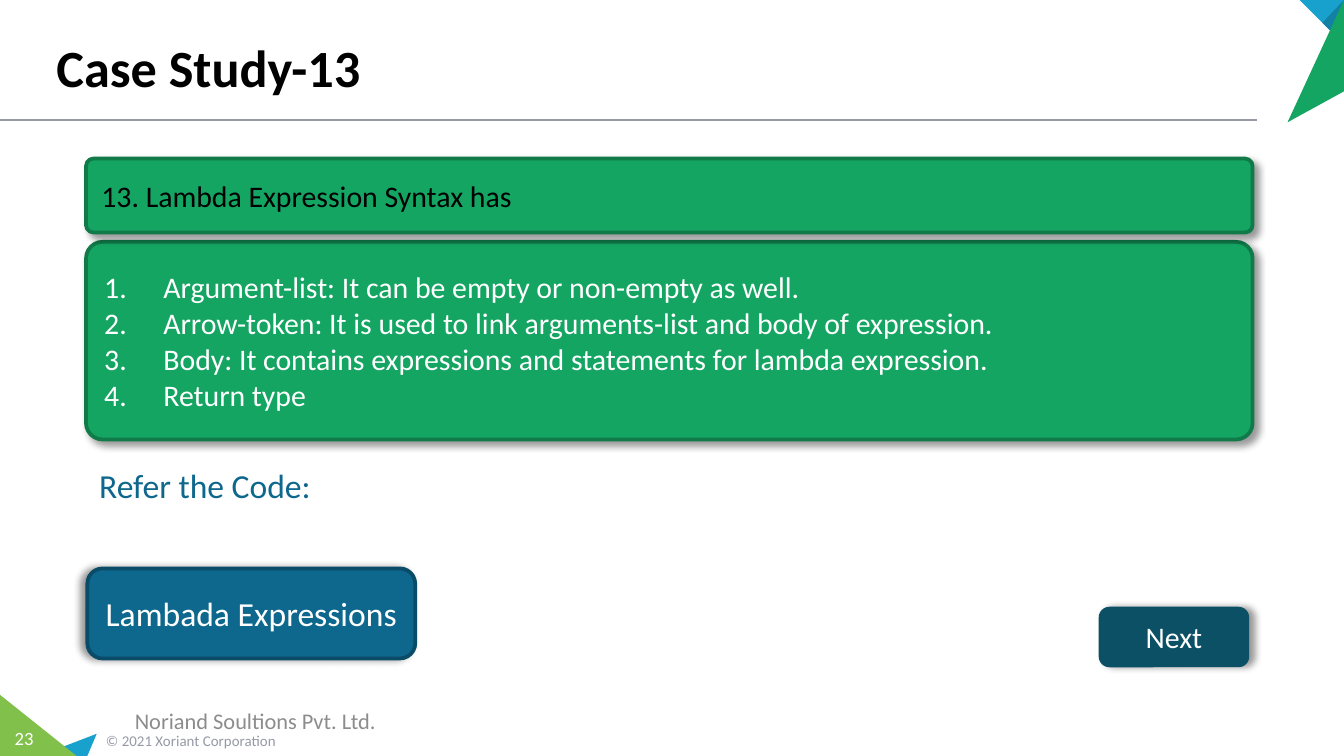
from dataclasses import dataclass

from lxml.etree import SubElement
from pptx import Presentation
from pptx.dml.color import RGBColor
from pptx.enum.shapes import MSO_CONNECTOR, MSO_SHAPE
from pptx.enum.text import MSO_ANCHOR as Anchor, MSO_AUTO_SIZE as AutoSize, PP_ALIGN as Align
from pptx.oxml import parse_xml
from pptx.oxml.ns import nsdecls, qn
from pptx.util import Inches, Pt


@dataclass(frozen=True)
class Theme:
    font: str = "Calibri"
    black: str = "000000"
    white: str = "FFFFFF"
    gray: str = "959AA5"
    footer: str = "8C8C8C"
    green: str = "15A563"
    dark_green: str = "107A49"
    lime: str = "81C14B"
    sky: str = "17A1CC"
    dark_sky: str = "1281A3"
    blue: str = "0E678C"
    dark_blue: str = "0A4C68"
    teal: str = "0C5066"
    title_size: float = 28
    lead_size: float = 18
    body_size: float = 16
    footer_size: float = 12
    number_size: float = 10
    copyright_size: float = 8


theme = Theme()


def write(shape, text, size, color, align=Align.LEFT, anchor=Anchor.MIDDLE, bold=False):
    frame = shape.text_frame
    frame.text = text
    frame.word_wrap = True
    frame.auto_size = AutoSize.NONE
    frame.vertical_anchor = anchor
    for paragraph in frame.paragraphs:
        paragraph.alignment = align
        paragraph.space_before = Pt(0)
        for run in paragraph.runs:
            run.font.name = theme.font
            run.font.size = Pt(size)
            run.font.bold = bold
            run.font.color.rgb = RGBColor.from_string(color)


def decorate(shape, fill, line, line_width, shadow_angle):
    shape.fill.solid()
    shape.fill.fore_color.rgb = RGBColor.from_string(fill)
    shape.line.color.rgb = RGBColor.from_string(line)
    shape.line.width = Pt(line_width)
    shape.shadow.inherit = False
    effects = shape.element.spPr.find(qn("a:effectLst"))
    shadow = SubElement(effects, qn("a:outerShdw"), blurRad=str(Pt(4)), dist=str(Pt(3)),
                        dir=str(shadow_angle * 60000), algn="tl", rotWithShape="0")
    color = SubElement(shadow, qn("a:srgbClr"), val=theme.black)
    SubElement(color, qn("a:alpha"), val="40000")


presentation = Presentation()
presentation.slide_width = Inches(10)
presentation.slide_height = Inches(5.625)
unit = presentation.slide_width / 100
right, bottom = 100, presentation.slide_height / unit
margin, panel_width = 6.4, 86.8

slide = presentation.slides.add_slide(presentation.slide_layouts[1])
shapes = slide.shapes
title, answers = slide.placeholders

rule = shapes.add_connector(MSO_CONNECTOR.STRAIGHT, 0, int(8.9 * unit), int(93.5 * unit), int(8.9 * unit))
rule.line.color.rgb = RGBColor.from_string(theme.gray)
rule.line.width = Pt(1)
SubElement(rule.element.spPr, qn("a:effectLst"))

corner_triangles = [
    (theme.sky, [(7.2, 54.6), (6.5, bottom), (2.9, bottom)]),
    (theme.lime, [(0, 51.7), (5.7, bottom), (0, bottom)]),
    (theme.sky, [(96.7, 0), (right, 0), (right, 3.3)]),
    (theme.dark_sky, [(98.4, 1.7), (right, 0), (right, 3.3)]),
    (theme.green, [(95.8, 9.1), (right, 0), (right, 6.8)]),
]
for color, points in corner_triangles:
    corners = [(x * unit, y * unit) for x, y in points]
    builder = shapes.build_freeform(*corners[0])
    builder.add_line_segments(corners[1:])
    triangle = builder.convert_to_shape()
    triangle.fill.solid()
    triangle.fill.fore_color.rgb = RGBColor.from_string(color)
    triangle.line.fill.background()
    triangle.shadow.inherit = False

title.left, title.top, title.width, title.height = (int(n * unit) for n in (3.2, 0.6, 90, 7.2))
write(title, "Case Study-13", theme.title_size, theme.black, anchor=Anchor.BOTTOM, bold=True)

labels = [
    ((6.9, 53.9, 23.3, 2.4), "© 2021 Xoriant Corporation", theme.copyright_size, theme.gray, Align.LEFT, Anchor.MIDDLE),
    ((0, 53.6, 3.6, 2.7), "23", theme.number_size, theme.white, Align.CENTER, Anchor.MIDDLE),
    ((0, 52.1, 38, 3), "Noriand Soultions Pvt. Ltd.", theme.footer_size, theme.footer, Align.CENTER, Anchor.MIDDLE),
    ((margin, 34.1, 50, 4), "Refer the Code:", theme.lead_size, theme.blue, Align.LEFT, Anchor.TOP),
]
for box, text, size, color, align, anchor in labels:
    label = shapes.add_textbox(*(int(n * unit) for n in box))
    write(label, text, size, color, align, anchor)
    if text == "23":
        label.text_frame.margin_left = label.text_frame.margin_right = 0

panels = [
    ((margin, 11.8, panel_width, 5.5), 0.1, theme.green, theme.dark_green, 2, 45,
     "13. Lambda Expression Syntax has", theme.body_size, theme.black, Align.LEFT),
    ((81.8, 45.2, 11.1, 4.4), 0.17, theme.teal, theme.teal, 0.75, 0,
     "Next", theme.body_size, theme.white, Align.CENTER),
    ((6.5, 42.3, 24.4, 6.7), 0.17, theme.blue, theme.dark_blue, 2, 180,
     "Lambada Expressions", theme.lead_size, theme.white, Align.CENTER),
]
for box, rounding, fill, line, line_width, angle, text, size, color, align in panels:
    panel = shapes.add_shape(MSO_SHAPE.ROUNDED_RECTANGLE, *(int(n * unit) for n in box))
    panel.adjustments[0] = rounding
    decorate(panel, fill, line, line_width, angle)
    write(panel, text, size, color, align)

answers.left, answers.top, answers.width, answers.height = (
    int(n * unit) for n in (margin, 18, panel_width, 14.7))
answers.element.spPr.insert(1, parse_xml(
    f'<a:prstGeom {nsdecls("a")} prst="roundRect"><a:avLst>'
    '<a:gd name="adj" fmla="val 8300"/></a:avLst></a:prstGeom>'))
decorate(answers, theme.green, theme.dark_green, 2, 45)
write(answers, "\n".join([
    "Argument-list: It can be empty or non-empty as well.",
    "Arrow-token: It is used to link arguments-list and body of expression.",
    "Body: It contains expressions and statements for lambda expression.",
    "Return type",
]), theme.body_size, theme.white)
for paragraph in answers.text_frame.paragraphs:
    properties = paragraph._p.get_or_add_pPr()
    properties.set("marL", str(Inches(0.44)))
    properties.set("indent", str(-Inches(0.44)))
    SubElement(properties, qn("a:buFont"), typeface=theme.font)
    SubElement(properties, qn("a:buAutoNum"), type="arabicPeriod")

presentation.save("out.pptx")
